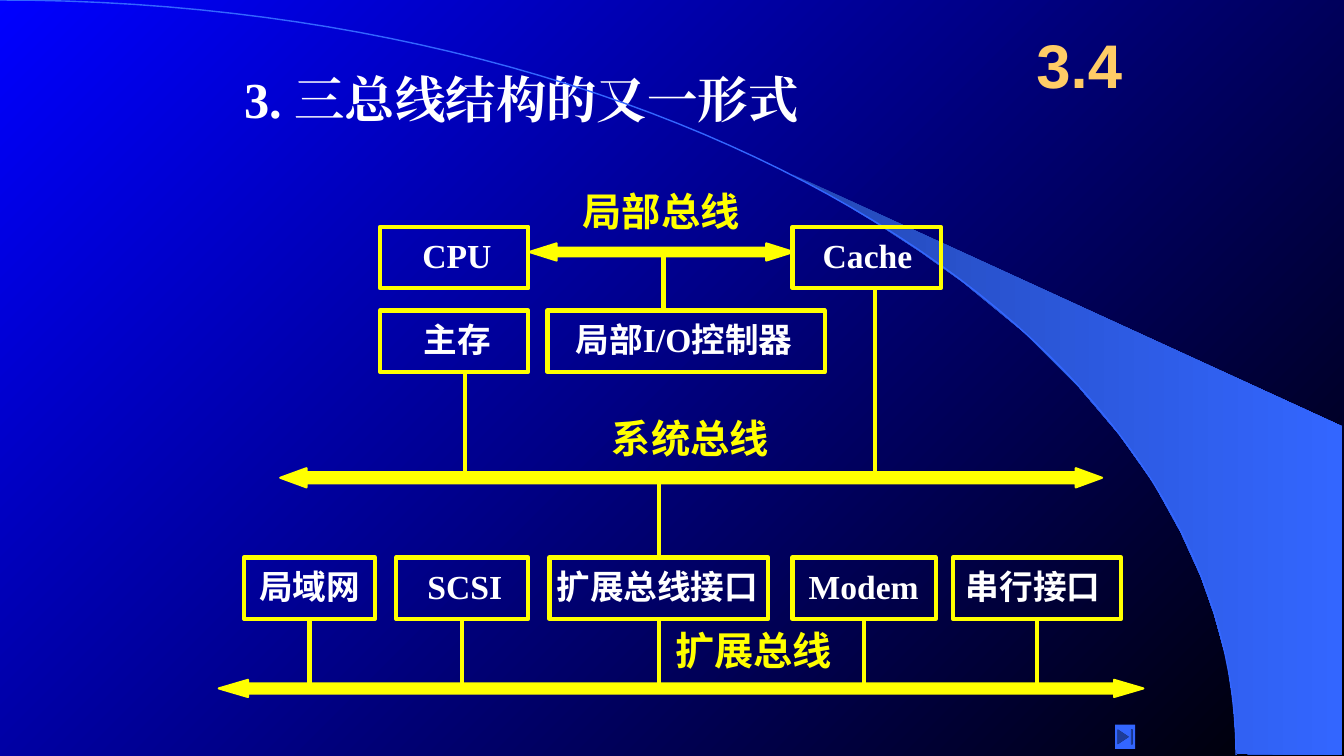
from dataclasses import dataclass

from lxml.etree import SubElement
from pptx import Presentation
from pptx.dml.color import RGBColor
from pptx.enum.shapes import MSO_CONNECTOR, MSO_SHAPE
from pptx.enum.text import MSO_ANCHOR, MSO_AUTO_SIZE, PP_ALIGN
from pptx.oxml.ns import qn
from pptx.util import Inches, Pt


@dataclass(frozen=True)
class Theme:
    blue: str = "0000FF"
    black: str = "000000"
    sail_dark: str = "2449B6"
    sail_light: str = "3366FF"
    white: str = "FFFFFF"
    yellow: str = "FFFF00"
    orange: str = "FFCC66"
    serif: str = "Times New Roman"
    sans: str = "Arial"
    chinese: str = "Noto Sans CJK SC"
    title_size: int = 36
    number_size: int = 44
    bus_size: int = 28
    box_size: int = 24
    line_width: float = 3


THEME = Theme()
WIDTH, HEIGHT = 13.33, 7.5

# Content: rows of the diagram, in inches
BOX_HEIGHT = 0.61
TOP_ROW, MIDDLE_ROW, BOTTOM_ROW = 2.25, 3.08, 5.53
LOCAL_BUS, SYSTEM_BUS, EXPANSION_BUS = 2.5, 4.74, 6.83

TITLE = "3. 三总线结构的又一形式"
SECTION = "3.4"

# name: left, top, width, text indent
BOXES = {
    "CPU": (3.77, TOP_ROW, 1.47, 0.42),
    "Cache": (7.86, TOP_ROW, 1.47, 0.3),
    "主存": (3.77, MIDDLE_ROW, 1.47, 0.43),
    "局部I/O控制器": (5.43, MIDDLE_ROW, 2.75, 0.28),
    "局域网": (2.42, BOTTOM_ROW, 1.3, 0.15),
    "SCSI": (3.93, BOTTOM_ROW, 1.31, 0.31),
    "扩展总线接口": (5.45, BOTTOM_ROW, 2.17, 0.07),
    "Modem": (7.86, BOTTOM_ROW, 1.42, 0.16),
    "串行接口": (9.45, BOTTOM_ROW, 1.67, 0.13),
}
EXPANSION_DEVICES = ("局域网", "SCSI", "扩展总线接口", "Modem", "串行接口")

# name, left, middle, width, height, shaft share, head length, label left, label top
BUSES = [
    ("局部总线", 5.25, LOCAL_BUS, 2.62, 0.17, 0.5, 0.27, 5.78, 1.86),
    ("系统总线", 2.78, SYSTEM_BUS, 8.15, 0.19, 0.59, 0.26, 6.07, 4.11),
    ("扩展总线", 2.17, EXPANSION_BUS, 9.17, 0.17, 0.59, 0.29, 6.7, 6.21),
]

# x, top, bottom of the lines that leave a box off its middle
DROPS = [
    (4.61, MIDDLE_ROW + BOX_HEIGHT, SYSTEM_BUS),
    (8.68, TOP_ROW + BOX_HEIGHT, SYSTEM_BUS),
    (6.58, LOCAL_BUS, MIDDLE_ROW),
]

SAIL = [
    (12.27, 7.48), (13.31, 7.49), (13.31, 4.23), (7.86, 1.73), (8.32, 1.99),
    (8.7, 2.22), (9.13, 2.5), (9.55, 2.8), (10.16, 3.3), (10.7, 3.84),
    (11.1, 4.31), (11.44, 4.79), (11.71, 5.28), (11.91, 5.72),
    (12.04, 6.09), (12.17, 6.56), (12.23, 6.96),
]
ARC_CONTROLS = [(0, 0), (6.77, 0), (12.26, 3.35), (12.26, 7.49)]
ARC_STEPS = 60


def rgb(color):
    return RGBColor.from_string(color)


def set_gradient(fill, colors, angle):
    fill.gradient()
    fill.gradient_angle = angle
    for stop, color, position in zip(fill.gradient_stops, colors, (0, 1)):
        stop.color.rgb = rgb(color)
        stop.position = position


def set_line(line, color=THEME.yellow, width=THEME.line_width):
    line.color.rgb = rgb(color)
    line.width = Pt(width)


def write(shape, text, size, color, font=THEME.serif, asian=THEME.chinese,
          insets=(0, 0, 0, 0), anchor=MSO_ANCHOR.TOP, align=PP_ALIGN.LEFT):
    frame = shape.text_frame
    frame.text = text
    frame.word_wrap = True
    frame.auto_size = MSO_AUTO_SIZE.NONE
    frame.vertical_anchor = anchor
    (frame.margin_left, frame.margin_top,
     frame.margin_right, frame.margin_bottom) = map(Inches, insets)
    paragraph = frame.paragraphs[0]
    paragraph.alignment = align
    for run in paragraph.runs:
        run.font.size = Pt(size)
        run.font.bold = True
        run.font.color.rgb = rgb(color)
        run.font.name = font
        SubElement(run.font._element, qn("a:ea")).set("typeface", asian)


def add_outline(slide, points, close):
    corners = [(Inches(x), Inches(y)) for x, y in points]
    builder = slide.shapes.build_freeform(*corners[0], scale=1.0)
    builder.add_line_segments(corners[1:], close=close)
    shape = builder.convert_to_shape()
    shape.shadow.inherit = False
    return shape


def add_shape(slide, kind, left, top, width, height):
    shape = slide.shapes.add_shape(kind, *map(Inches, (left, top, width, height)))
    shape.shadow.inherit = False
    return shape


def add_drop(slide, x, top, bottom):
    connector = slide.shapes.add_connector(
        MSO_CONNECTOR.STRAIGHT, *map(Inches, (x, top, x, bottom)))
    set_line(connector.line)
    SubElement(connector._element.spPr, qn("a:effectLst"))
    return connector


def arc_point(t):
    weights = ((1 - t) ** 3, 3 * t * (1 - t) ** 2, 3 * t ** 2 * (1 - t), t ** 3)
    return tuple(sum(w * point[axis] for w, point in zip(weights, ARC_CONTROLS))
                 for axis in (0, 1))


def draw_backdrop(slide):
    set_gradient(slide.background.fill, (THEME.blue, THEME.black), 315)
    sail = add_outline(slide, SAIL, True)
    set_gradient(sail.fill, (THEME.sail_dark, THEME.sail_light), 0)
    sail.line.fill.background()
    arc = add_outline(slide, [arc_point(i / ARC_STEPS) for i in range(ARC_STEPS + 1)], False)
    arc.fill.background()
    set_line(arc.line, THEME.sail_light, 1)


def draw_headings(slide):
    title = slide.shapes.title
    title.left, title.top, title.width, title.height = map(Inches, (2.32, 0.63, 5.77, 1.3))
    write(title, TITLE, THEME.title_size, THEME.white, asian=THEME.serif,
          insets=(0.1, 0.05, 0.1, 0.05))
    number = slide.shapes.add_textbox(*map(Inches, (10.08, 0.17, 1.25, 0.92)))
    write(number, SECTION, THEME.number_size, THEME.orange, THEME.sans,
          insets=(0.1, 0.05, 0.1, 0.05), anchor=MSO_ANCHOR.MIDDLE, align=PP_ALIGN.CENTER)


def draw_diagram(slide):
    # Buses and their labels
    for name, left, middle, width, height, shaft, head, label_left, label_top in BUSES:
        bus = add_shape(slide, MSO_SHAPE.LEFT_RIGHT_ARROW,
                        left, middle - height / 2, width, height)
        bus.adjustments[0] = shaft
        bus.adjustments[1] = head / height
        bus.fill.solid()
        bus.fill.fore_color.rgb = rgb(THEME.yellow)
        set_line(bus.line, width=1.5)
        label = slide.shapes.add_textbox(*map(Inches, (label_left, label_top, 1.6, 0.47)))
        write(label, name, THEME.bus_size, THEME.yellow)

    # Boxes
    boxes = {}
    for name, (left, top, width, indent) in BOXES.items():
        box = add_shape(slide, MSO_SHAPE.RECTANGLE, left, top, width, BOX_HEIGHT)
        box.fill.background()
        set_line(box.line)
        write(box, name, THEME.box_size, THEME.white,
              insets=(indent, 0, 0, 0.05), anchor=MSO_ANCHOR.MIDDLE)
        boxes[name] = box

    # Lines between boxes and buses
    for name in EXPANSION_DEVICES:
        left, top, width, _ = BOXES[name]
        drop = add_drop(slide, left + width / 2, top + BOX_HEIGHT, EXPANSION_BUS)
        drop.begin_connect(boxes[name], 2)
    left, top, width, _ = BOXES["扩展总线接口"]
    add_drop(slide, left + width / 2, SYSTEM_BUS, top).end_connect(boxes["扩展总线接口"], 0)
    for x, top, bottom in DROPS:
        add_drop(slide, x, top, bottom)


def main():
    presentation = Presentation()
    presentation.slide_width, presentation.slide_height = Inches(WIDTH), Inches(HEIGHT)
    slide = presentation.slides.add_slide(presentation.slide_layouts[5])
    draw_backdrop(slide)
    draw_headings(slide)
    draw_diagram(slide)
    button = add_shape(slide, MSO_SHAPE.ACTION_BUTTON_END, 11.06, 7.19, 0.2, 0.24)
    button.fill.solid()
    button.fill.fore_color.rgb = rgb(THEME.sail_light)
    button.line.fill.background()
    presentation.save("out.pptx")


if __name__ == "__main__":
    main()
